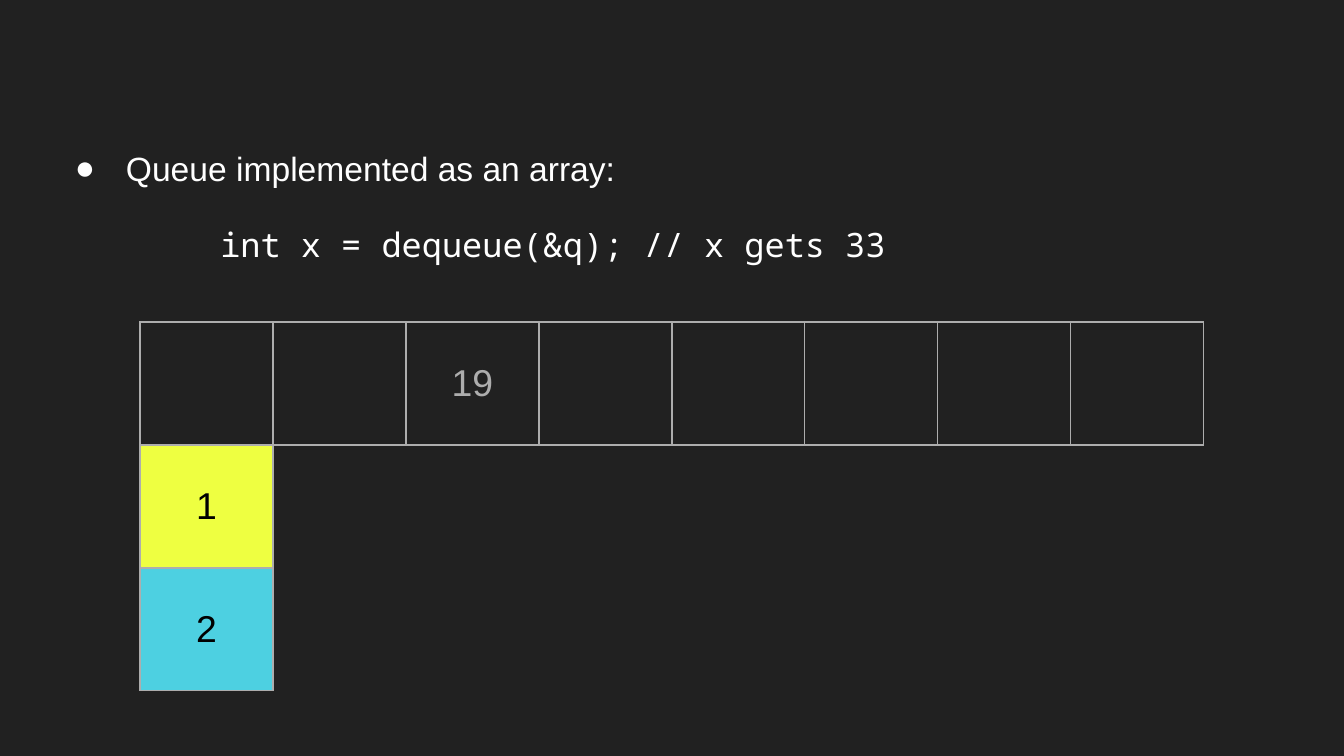
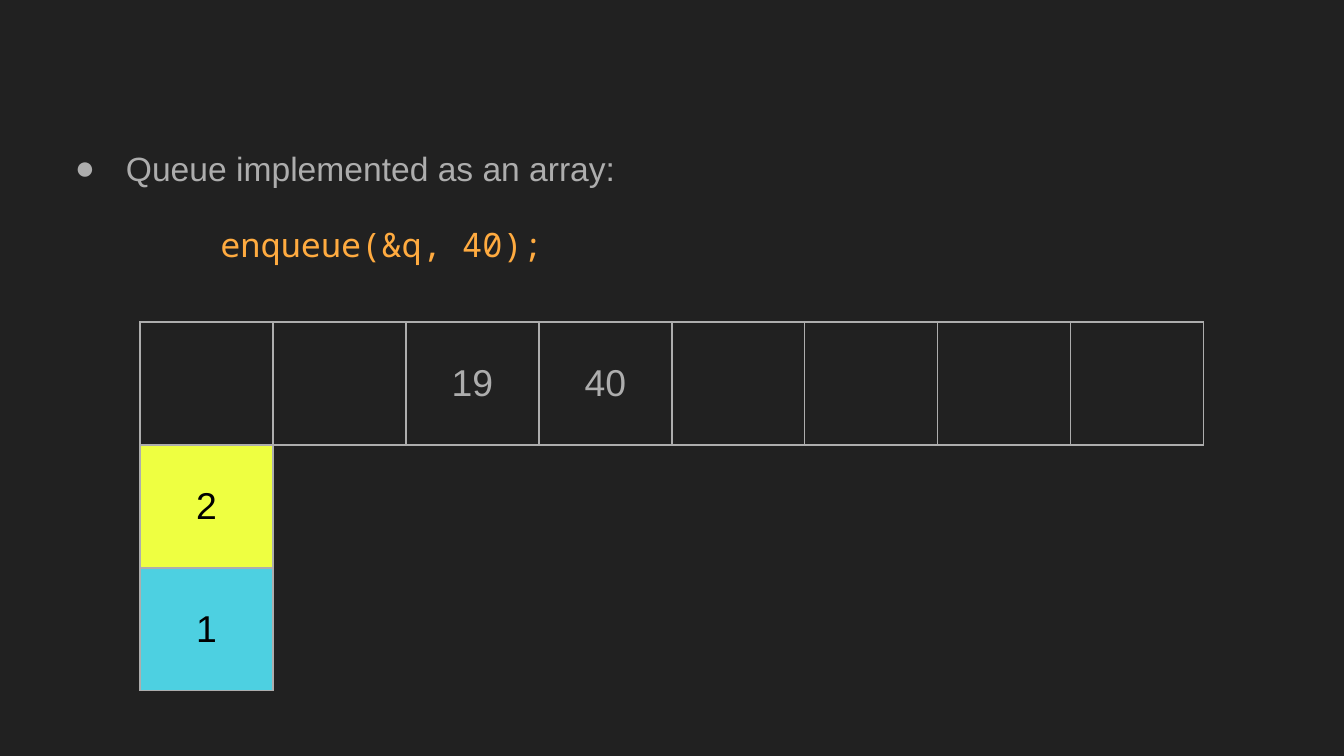
from pptx import Presentation
from pptx.dml.color import RGBColor
from pptx.enum.text import MSO_ANCHOR as Anchor, MSO_AUTO_SIZE as Fit, PP_ALIGN as Align
from pptx.oxml import parse_xml
from pptx.oxml.ns import nsdecls
from pptx.util import Pt

# Content: text colour, code line, code colour, values by (row, column)
HEAD = "Queue implemented as an array:"
SLIDES = [
    ("FFFFFF", "        int x = dequeue(&q); // x gets 33", "FFFFFF",
     {(0, 2): "19", (1, 0): "1", (2, 0): "2"}),
    ("ADADAD", "        enqueue(&q, 40);", "FFAB40",
     {(0, 2): "19", (0, 3): "40", (1, 0): "2", (2, 0): "1"}),
]

# Shared look
DARK, GREY, BLACK = "212121", "ADADAD", "000000"
FILLS = {(1, 0): "EEFF41", (2, 0): "4DD0E1"}
SANS, MONO = "Arial", "Noto Sans Mono"
ROWS, COLS = 3, 8
CELL_W, CELL_H = 133, 123
NO_GRID = "{2D5ABB26-0587-4C30-8999-92F81FD0307C}"
EDGES = {"L": (0, -1), "R": (0, 1), "T": (-1, 0), "B": (1, 0)}


def px(n):
    return round(n * 914400 / 134.4)


def rgb(code):
    return RGBColor.from_string(code)


def style(para, size, face, color):
    for run in para.runs:
        run.font.size = Pt(size)
        run.font.name = face
        run.font.color.rgb = rgb(color)


def pad(box):
    box.margin_left = box.margin_right = px(13)
    box.margin_top = box.margin_bottom = px(13)


def mark(para, left, hang, *parts):
    props = para._p.get_or_add_pPr()
    props.set("marL", str(px(left)))
    props.set("indent", str(px(hang)))
    for part in parts:
        props.append(parse_xml(part.replace("/>", f" {nsdecls('a')}/>", 1)
                               if part.endswith("/>")
                               else part.replace(">", f" {nsdecls('a')}>", 1)))


def add_body(slide, color, code, tint):
    body = slide.placeholders[1]
    body.left, body.top, body.width, body.height = map(px, (46, 129, 1253, 474))
    frame = body.text_frame
    frame.auto_size = Fit.NONE
    frame.vertical_anchor = Anchor.TOP
    pad(frame)
    frame.text = HEAD
    head, line = frame.paragraphs[0], frame.add_paragraph()
    line.text = code
    for para, gap in ((head, 0), (line, 16)):
        para.line_spacing = 1.15
        para.space_before = Pt(gap)
    mark(head, 67, -51,
         f'<a:buClr><a:srgbClr val="{color}"/></a:buClr>',
         f'<a:buFont typeface="{SANS}"/>', '<a:buChar char="●"/>')
    mark(line, 0, 0, "<a:buNone/>")
    style(head, 18, SANS, color)
    style(line, 18, MONO, tint)


def boxed(row, col):
    """The grid shows the first row and the first column only."""
    return row == 0 <= col < COLS or col == 0 <= row < ROWS


def add_edges(cell, row, col):
    props = cell._tc.get_or_add_tcPr()
    for side, (down, right) in EDGES.items():
        shown = boxed(row, col) or boxed(row + down, col + right)
        paint = (f'<a:solidFill><a:srgbClr val="{GREY}"/></a:solidFill>'
                 if shown else "<a:noFill/>")
        props.append(parse_xml(
            f'<a:ln{side} {nsdecls("a")} w="{Pt(0.75)}">{paint}</a:ln{side}>'))


def add_grid(slide, values):
    shape = slide.shapes.add_table(ROWS, COLS, px(140), px(322),
                                   px(COLS * CELL_W), px(ROWS * CELL_H))
    table = shape.table
    table.first_row = table.horz_banding = False
    table._tbl.tblPr[0].text = NO_GRID
    for part in table.columns:
        part.width = px(CELL_W)
    for part in table.rows:
        part.height = px(CELL_H)
    for row in range(ROWS):
        for col in range(COLS):
            cell, spot = table.cell(row, col), (row, col)
            pad(cell)
            cell.vertical_anchor = Anchor.MIDDLE
            add_edges(cell, row, col)
            if spot in FILLS:
                cell.fill.solid()
                cell.fill.fore_color.rgb = rgb(FILLS[spot])
            else:
                cell.fill.background()
            if spot in values:
                cell.text = values[spot]
                para = cell.text_frame.paragraphs[0]
                para.alignment = Align.CENTER
                style(para, 20, SANS, BLACK if spot in FILLS else GREY)


def main():
    prs = Presentation()
    prs.slide_width, prs.slide_height = px(1344), px(756)
    back = prs.slide_master.background.fill
    back.solid()
    back.fore_color.rgb = rgb(DARK)
    for color, code, tint, values in SLIDES:
        slide = prs.slides.add_slide(prs.slide_layouts[1])
        title = slide.shapes.title._element
        title.getparent().remove(title)
        add_body(slide, color, code, tint)
        add_grid(slide, values)
    prs.save("out.pptx")


if __name__ == "__main__":
    main()
